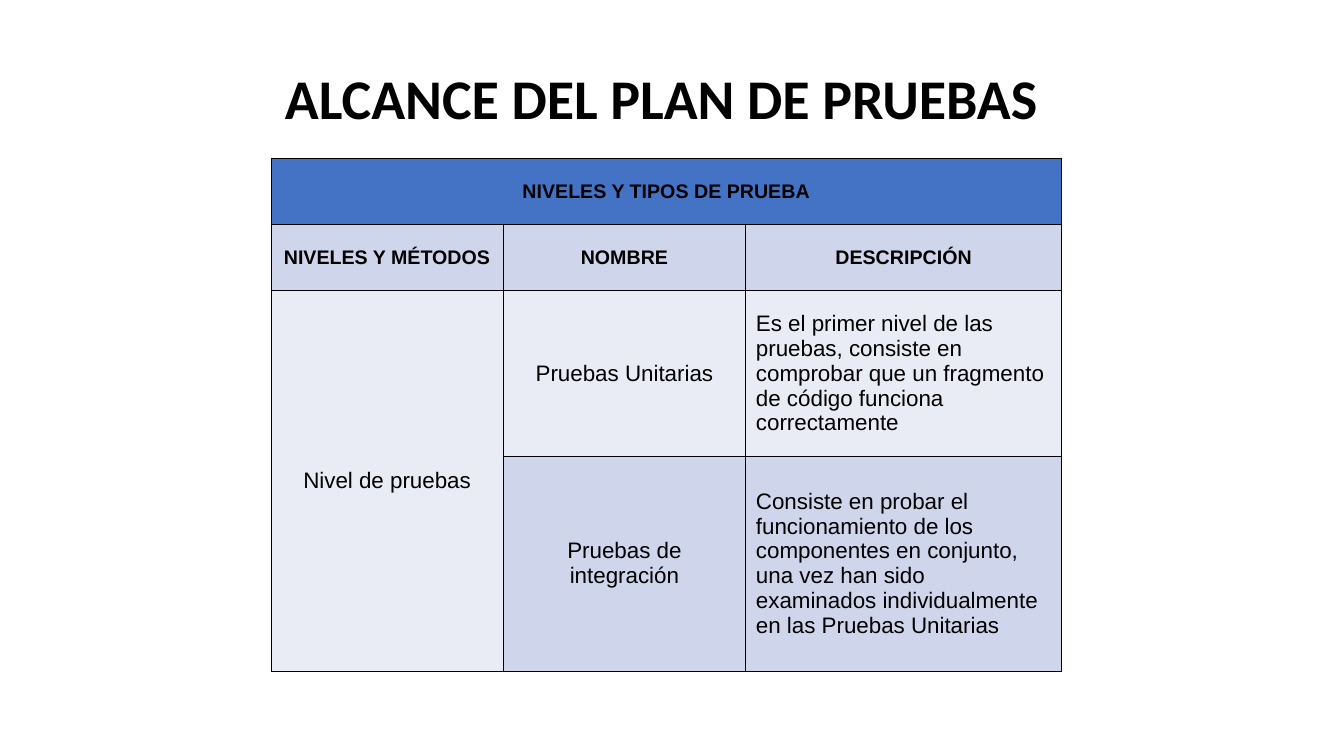
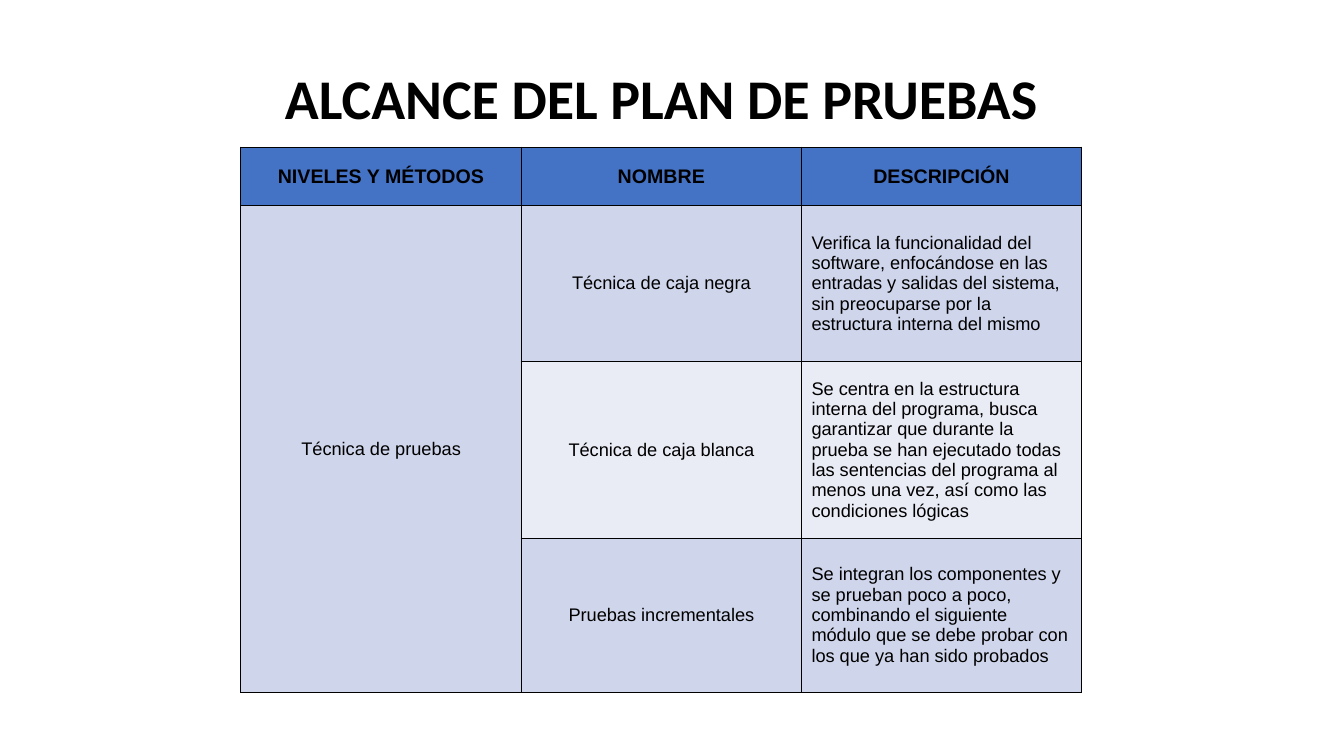
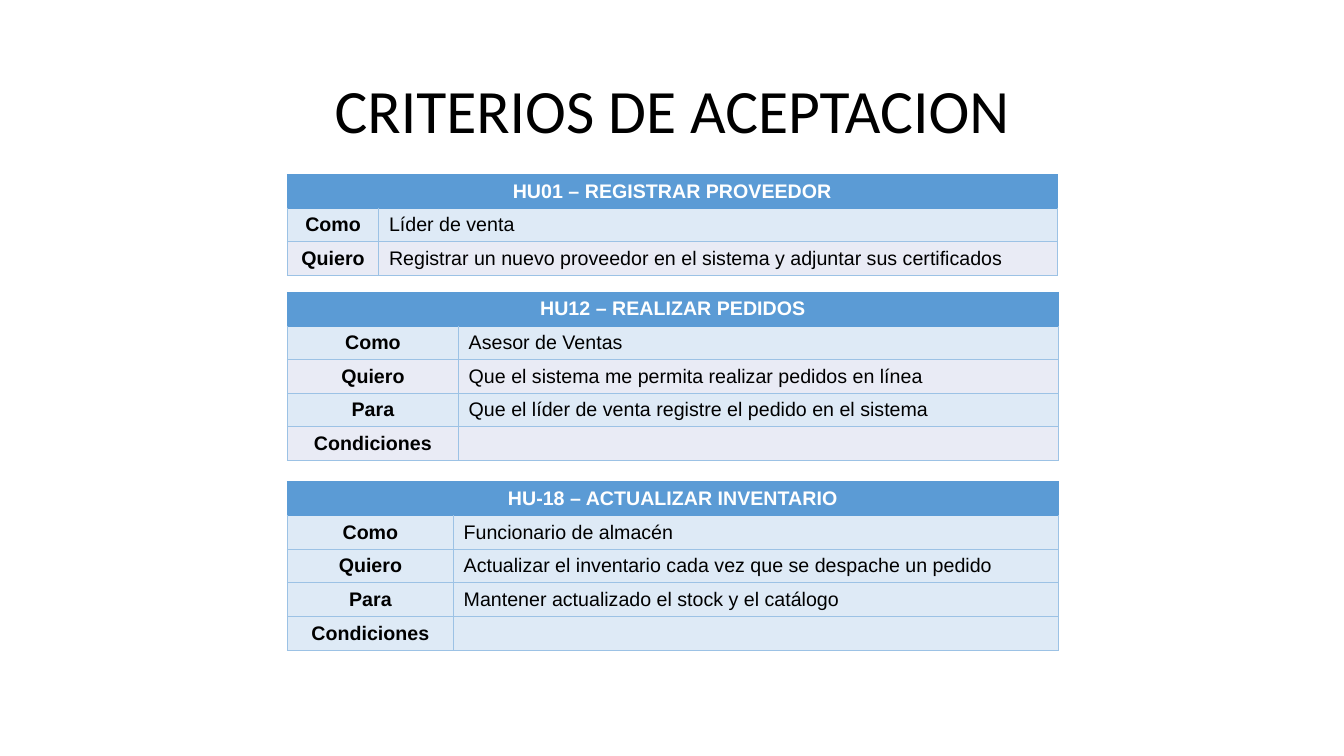
from dataclasses import dataclass

from lxml.etree import SubElement
from pptx import Presentation
from pptx.dml.color import RGBColor
from pptx.enum.text import MSO_ANCHOR, PP_ALIGN
from pptx.oxml.ns import qn
from pptx.util import Pt


@dataclass(frozen=True)
class Theme:
    black: str = "000000"
    white: str = "FFFFFF"
    scope_head: str = "4472C4"
    scope_dark: str = "CFD5EA"
    scope_light: str = "E9EBF5"
    story_head: str = "5B9BD5"
    story_blue: str = "DEEAF6"
    story_edge: str = "9CC2E5"
    title_font: str = "Calibri"
    table_font: str = "Arial"
    scope_title_size: int = 40
    criteria_title_size: int = 44
    head_size: int = 14
    level_size: int = 16
    technique_size: int = 13
    edge_width: float = 0.75


THEME = Theme()


@dataclass(frozen=True)
class TextLook:
    size: int
    bold: bool = False
    color: str = THEME.black
    align: PP_ALIGN = PP_ALIGN.LEFT
    font: str = THEME.table_font


@dataclass(frozen=True)
class Row:
    texts: tuple
    fill: str
    looks: tuple
    height: float
    edge: str = THEME.black
    top_edge: str = THEME.black


HEAD = TextLook(THEME.head_size, True, align=PP_ALIGN.CENTER)
STORY_HEAD = TextLook(THEME.head_size, True, THEME.white, PP_ALIGN.CENTER)
STORY_TEXT = TextLook(THEME.head_size)


def write(paragraph, text, look):
    paragraph.text = text
    paragraph.alignment = look.align
    paragraph.font.name = look.font
    paragraph.font.size = Pt(look.size)
    paragraph.font.bold = look.bold
    paragraph.font.color.rgb = RGBColor.from_string(look.color)
    if not text:  # an empty cell keeps the row's type size
        paragraph._p.get_or_add_endParaRPr().set("sz", str(look.size * 100))


def add_title(slide, text, left, top, height, size, bold=False):
    frame = slide.shapes.add_textbox(Pt(left), Pt(top), Pt(828), Pt(height)).text_frame
    frame.word_wrap = True
    frame.vertical_anchor = MSO_ANCHOR.MIDDLE
    title = frame.paragraphs[0]
    write(title, text, TextLook(size, bold, align=PP_ALIGN.CENTER, font=THEME.title_font))
    title.line_spacing = 0.9


def set_edges(cell, edge, top_edge):
    properties = cell._tc.get_or_add_tcPr()
    for side, color in (("L", edge), ("R", edge), ("T", top_edge), ("B", edge)):
        line = SubElement(properties, qn(f"a:ln{side}"), w=str(Pt(THEME.edge_width)))
        SubElement(SubElement(line, qn("a:solidFill")), qn("a:srgbClr"), val=color)


def add_grid(slide, left, top, widths, rows, merges=()):
    """Each merge gives first row, first column, last row, last column."""
    height = sum(row.height for row in rows)
    table = slide.shapes.add_table(len(rows), len(widths), Pt(left), Pt(top),
                                   Pt(sum(widths)), Pt(height)).table
    table.first_row = table.horz_banding = False
    for column, width in zip(table.columns, widths):
        column.width = Pt(width)
    for line, row in zip(table.rows, rows):
        line.height = Pt(row.height)
        for cell, text, look in zip(line.cells, row.texts, row.looks):
            set_edges(cell, row.edge, row.top_edge)
            cell.fill.solid()
            cell.fill.fore_color.rgb = RGBColor.from_string(row.fill)
            cell.vertical_anchor = MSO_ANCHOR.MIDDLE
            write(cell.text_frame.paragraphs[0], text, look)
    for first_row, first_col, last_row, last_col in merges:
        table.cell(first_row, first_col).merge(table.cell(last_row, last_col))


def head_row(texts, fill, height):
    return Row(texts, fill, (HEAD,) * 3, height)


def scope_row(texts, fill, height, size):
    name = TextLook(size, align=PP_ALIGN.CENTER)
    return Row(texts, fill, (name, name, TextLook(size)), height)


def add_scope_slide(deck, left, top, widths, rows, merges):
    slide = deck.slides.add_slide(deck.slide_layouts[6])
    add_title(slide, "ALCANCE DEL PLAN DE PRUEBAS", 58.3, 42.5, 60,
              THEME.scope_title_size, bold=True)
    add_grid(slide, left, top, widths, rows, merges)


def add_story(slide, top, widths, heading, parts, fills):
    height = 22.9
    rows = [Row((heading, ""), THEME.story_head, (STORY_HEAD, STORY_TEXT), height,
                THEME.story_head, THEME.story_head)]
    for index, texts in enumerate(parts):
        rows.append(Row(texts, fills[index % len(fills)], (HEAD, STORY_TEXT), height,
                        THEME.story_edge, THEME.story_edge if index else THEME.story_head))
    add_grid(slide, 205.2, top, widths, rows, [(0, 0, 0, 1)])


def main():
    deck = Presentation()
    deck.slide_width, deck.slide_height = Pt(960), Pt(540)
    columns = ("NIVELES Y MÉTODOS", "NOMBRE", "DESCRIPCIÓN")

    # Test levels
    levels = [
        head_row(("NIVELES Y TIPOS DE PRUEBA", "", ""), THEME.scope_head, 47.3),
        head_row(columns, THEME.scope_dark, 47.3),
        scope_row(("Nivel de pruebas", "Pruebas Unitarias",
                   "Es el primer nivel de las pruebas, consiste en comprobar que un "
                   "fragmento de código funciona correctamente"),
                  THEME.scope_light, 118.4, THEME.level_size),
        scope_row(("", "Pruebas de integración",
                   "Consiste en probar el funcionamiento de los componentes en conjunto, "
                   "una vez han sido examinados individualmente en las Pruebas Unitarias"),
                  THEME.scope_dark, 153.4, THEME.level_size),
    ]
    add_scope_slide(deck, 193.7, 113, (165.6, 173.5, 225.4), levels,
                    [(0, 0, 0, 2), (2, 0, 3, 0)])

    # Test techniques
    techniques = [
        head_row(columns, THEME.scope_head, 41.6),
        scope_row(("Técnica de pruebas", "Técnica de caja negra",
                   "Verifica la funcionalidad del software, enfocándose en las entradas y "
                   "salidas del sistema, sin preocuparse por la estructura interna del mismo"),
                  THEME.scope_dark, 111.5, THEME.technique_size),
        scope_row(("", "Técnica de caja blanca",
                   "Se centra en la estructura interna del programa, busca garantizar que "
                   "durante la prueba se han ejecutado todas las sentencias del programa al "
                   "menos una vez, así como las condiciones lógicas"),
                  THEME.scope_light, 126.2, THEME.technique_size),
        scope_row(("", "Pruebas incrementales",
                   "Se integran los componentes y se prueban poco a poco, combinando el "
                   "siguiente módulo que se debe probar con los que ya han sido probados"),
                  THEME.scope_dark, 110.2, THEME.technique_size),
    ]
    add_scope_slide(deck, 172.1, 105.1, (200.2,) * 3, techniques, [(1, 0, 3, 0)])

    # Acceptance criteria
    criteria = deck.slides.add_slide(deck.slide_layouts[6])
    add_title(criteria, "CRITERIOS DE ACEPTACION", 66.2, 28.8, 104.4,
              THEME.criteria_title_size)
    banded = (THEME.story_blue, THEME.scope_light)
    add_story(criteria, 124.6, (65.5, 484.6), "HU01 – REGISTRAR PROVEEDOR", [
        ("Como", "Líder de venta"),
        ("Quiero", "Registrar un nuevo proveedor en el sistema y adjuntar sus certificados"),
    ], banded)
    add_story(criteria, 208.8, (122.4, 428.4), "HU12 – REALIZAR PEDIDOS", [
        ("Como", "Asesor de Ventas"),
        ("Quiero", "Que el sistema me permita realizar pedidos en línea"),
        ("Para", "Que el líder de venta registre el pedido en el sistema"),
        ("Condiciones", ""),
    ], banded)
    add_story(criteria, 344.2, (118.8, 432), "HU-18 – ACTUALIZAR INVENTARIO", [
        ("Como", "Funcionario de almacén"),
        ("Quiero", "Actualizar el inventario cada vez que se despache un pedido"),
        ("Para", "Mantener actualizado el stock y el catálogo"),
        ("Condiciones", ""),
    ], (THEME.story_blue,))

    deck.save("out.pptx")


if __name__ == "__main__":
    main()
